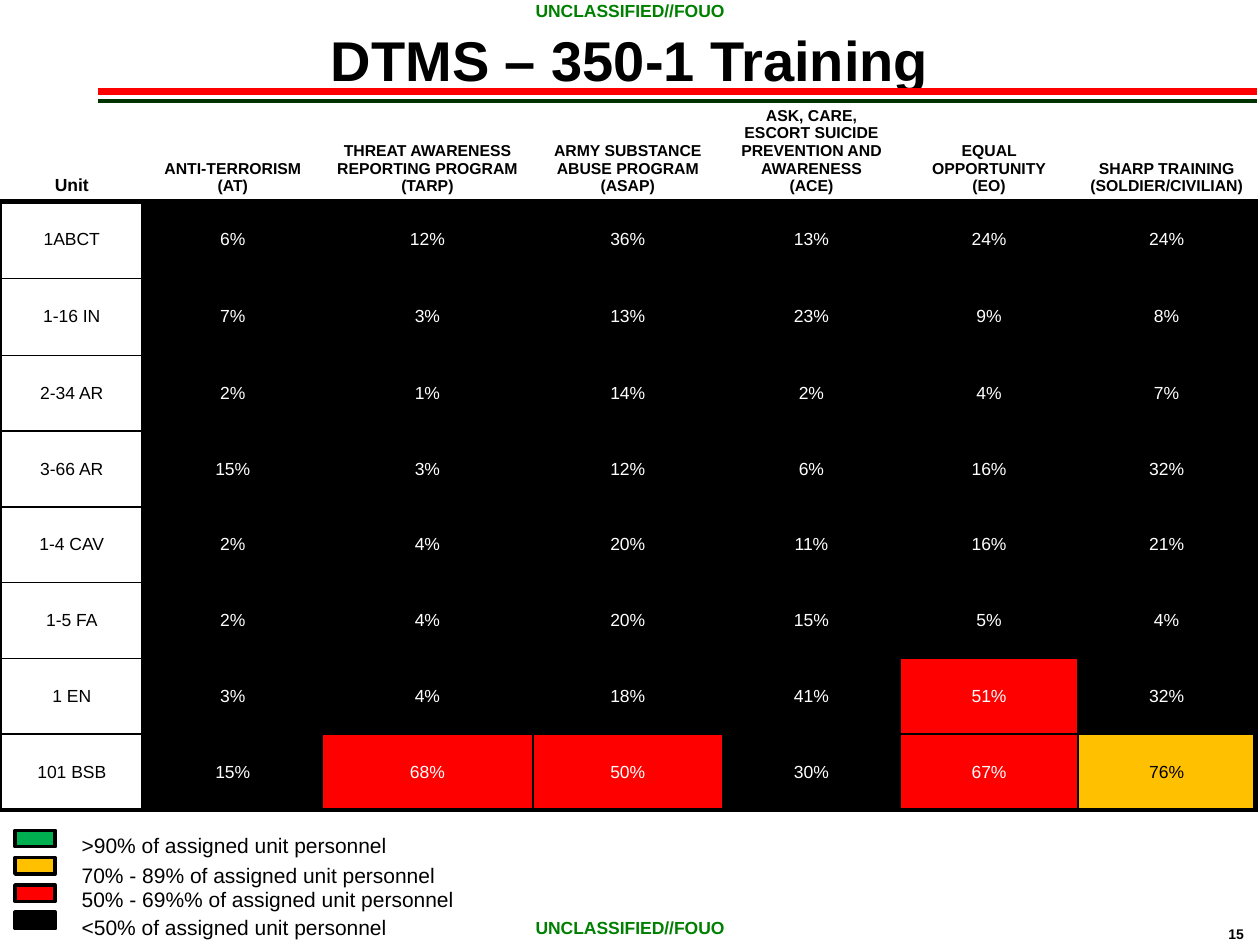
from lxml import etree
from pptx import Presentation
from pptx.dml.color import RGBColor
from pptx.enum import shapes, text
from pptx.oxml import ns
from pptx.util import Pt

COLORS = {"black": "000000", "white": "FFFFFF", "red": "FF0000", "amber": "FFC000",
          "green": "00B050", "dark green": "003300", "marking": "008000"}
CENTER = text.PP_ALIGN.CENTER
NO_STYLE = "{2D5ABB26-0587-4C30-8999-92F81FD0307C}"


def rgb(name):
    return RGBColor.from_string(COLORS[name])


def write(frame, lines, size, color="black", bold=False, align=None):
    """Fill a text frame with one formatted paragraph per line."""
    for i, line in enumerate(lines):
        paragraph = frame.paragraphs[0] if i == 0 else frame.add_paragraph()
        paragraph.alignment = align
        run = paragraph.add_run()
        run.text = line
        for name, value in {"name": "Arial", "size": Pt(size), "bold": bold}.items():
            setattr(run.font, name, value)
        run.font.color.rgb = rgb(color)


deck = Presentation()
deck.slide_width, deck.slide_height = Pt(720), Pt(540)
slide = deck.slides.add_slide(deck.slide_layouts[5])

# Double rule under the title
for y, color, weight in [(52.5, "red", 4), (57.6, "dark green", 2.25)]:
    rule = slide.shapes.add_connector(shapes.MSO_CONNECTOR.STRAIGHT,
                                      Pt(56), Pt(y), Pt(718.5), Pt(y))
    rule.line.color.rgb = rgb(color)
    rule.line.width = Pt(weight)
    etree.SubElement(rule._element.spPr, ns.qn("a:effectLst"))

# Page number and classification markings
page_number = slide.shapes.add_textbox(Pt(694.8), Pt(525.6), Pt(24.5), Pt(17.3))
page_number.text_frame.word_wrap = False
write(page_number.text_frame, ["15"], 8, bold=True)
for top in (-3.6, 520.5):
    marking = slide.shapes.add_textbox(Pt(286.5), Pt(top), Pt(147), Pt(31.7))
    marking.text_frame.word_wrap = True
    write(marking.text_frame, ["UNCLASSIFIED//FOUO"], 10, "marking", True, CENTER)

# Training table
headings = [
    ["Unit"],
    ["ANTI-TERRORISM", "(AT)"],
    ["THREAT AWARENESS REPORTING PROGRAM", "(TARP)"],
    ["ARMY SUBSTANCE ABUSE PROGRAM", "(ASAP)"],
    ["ASK, CARE, ESCORT SUICIDE PREVENTION AND AWARENESS", "(ACE)"],
    ["EQUAL OPPORTUNITY", "(EO)"],
    ["SHARP TRAINING (SOLDIER/CIVILIAN)"],
]
units = [
    ("1ABCT", 6, 12, 36, 13, 24, 24),
    ("1-16 IN", 7, 3, 13, 23, 9, 8),
    ("2-34 AR", 2, 1, 14, 2, 4, 7),
    ("3-66 AR", 15, 3, 12, 6, 16, 32),
    ("1-4 CAV", 2, 4, 20, 11, 16, 21),
    ("1-5 FA", 2, 4, 20, 15, 5, 4),
    ("1 EN", 3, 4, 18, 41, 51, 32),
    ("101 BSB", 15, 68, 50, 30, 67, 76),
]
column_widths = [82, 102, 120.5, 108.5] + [101.5] * 3
row_heights = [69, 44, 44] + [43.3] * 6
last_row, last_col = len(units), len(headings) - 1

table_frame = slide.shapes.add_table(len(row_heights), len(column_widths), Pt(0), Pt(46.1),
                                     Pt(sum(column_widths)), Pt(sum(row_heights)))
training = table_frame.table
training.first_row = training.horz_banding = False
training._tbl.tblPr.find(ns.qn("a:tableStyleId")).text = NO_STYLE
for column, width in zip(training.columns, column_widths):
    column.width = Pt(width)
for row, height in zip(training.rows, row_heights):
    row.height = Pt(height)

for r, values in enumerate([headings] + units):
    for c, value in enumerate(values):
        cell = training.cell(r, c)
        cell.vertical_anchor = text.MSO_ANCHOR.BOTTOM if r == 0 else text.MSO_ANCHOR.MIDDLE

        # Heavy frame around the units and the results, thin grid inside
        borders = {"lnB": 3} if r == 0 else {
            "lnL": 3 if c < 2 else 1,
            "lnR": 3 if c in (0, last_col) else 1,
            "lnT": 3 if r == 1 else 1,
            "lnB": 3 if r == last_row else 1,
        }
        properties = cell._tc.get_or_add_tcPr()
        for side, weight in borders.items():
            edge = etree.SubElement(properties, ns.qn(f"a:{side}"), w=str(Pt(weight)))
            paint = etree.SubElement(edge, ns.qn("a:solidFill"))
            etree.SubElement(paint, ns.qn("a:srgbClr"), val=COLORS["black"])

        # Results are coloured by the legend's thresholds
        if r == 0:
            cell.fill.background()
            write(cell.text_frame, value, 10 if c == 0 else 9, bold=True, align=CENTER)
        elif c == 0:
            cell.fill.background()
            write(cell.text_frame, [value], 10, align=CENTER)
        else:
            status = ("green" if value >= 90 else "amber" if value >= 70
                      else "red" if value >= 50 else "black")
            cell.fill.solid()
            cell.fill.fore_color.rgb = rgb(status)
            ink = "black" if status == "amber" else "white"
            write(cell.text_frame, [f"{value}%"], 10, ink, align=CENTER)

# Legend
legend = [
    ("green", 472.3, ">90% of assigned unit personnel"),
    ("amber", 489.6, "70% - 89% of assigned unit personnel"),
    ("red", 503.3, "50% - 69%% of assigned unit personnel"),
    ("black", 519.1, "<50% of assigned unit personnel"),
]
for i, (color, label_top, meaning) in enumerate(legend):
    swatch = slide.shapes.add_shape(shapes.MSO_SHAPE.RECTANGLE,
                                    Pt(8.6), Pt(474.5 + 15.6 * i), Pt(23), Pt(9.4))
    swatch.shadow.inherit = False
    swatch.fill.solid()
    swatch.fill.fore_color.rgb = rgb(color)
    swatch.line.color.rgb = rgb("black")
    swatch.line.width = Pt(2)
    label = slide.shapes.add_textbox(Pt(39.6), Pt(label_top), Pt(310), Pt(20.9))
    label.text_frame.word_wrap = True
    write(label.text_frame, [meaning], 12)

# Title
title = slide.shapes.title
title_format = {"left": Pt(26.6), "top": Pt(7.2), "width": Pt(658), "height": Pt(52.6)}
for name, value in title_format.items():
    setattr(title, name, value)
title.text_frame.vertical_anchor = text.MSO_ANCHOR.MIDDLE
write(title.text_frame, [" DTMS – 350-1 Training"], 32, bold=True, align=CENTER)

deck.save("out.pptx")
